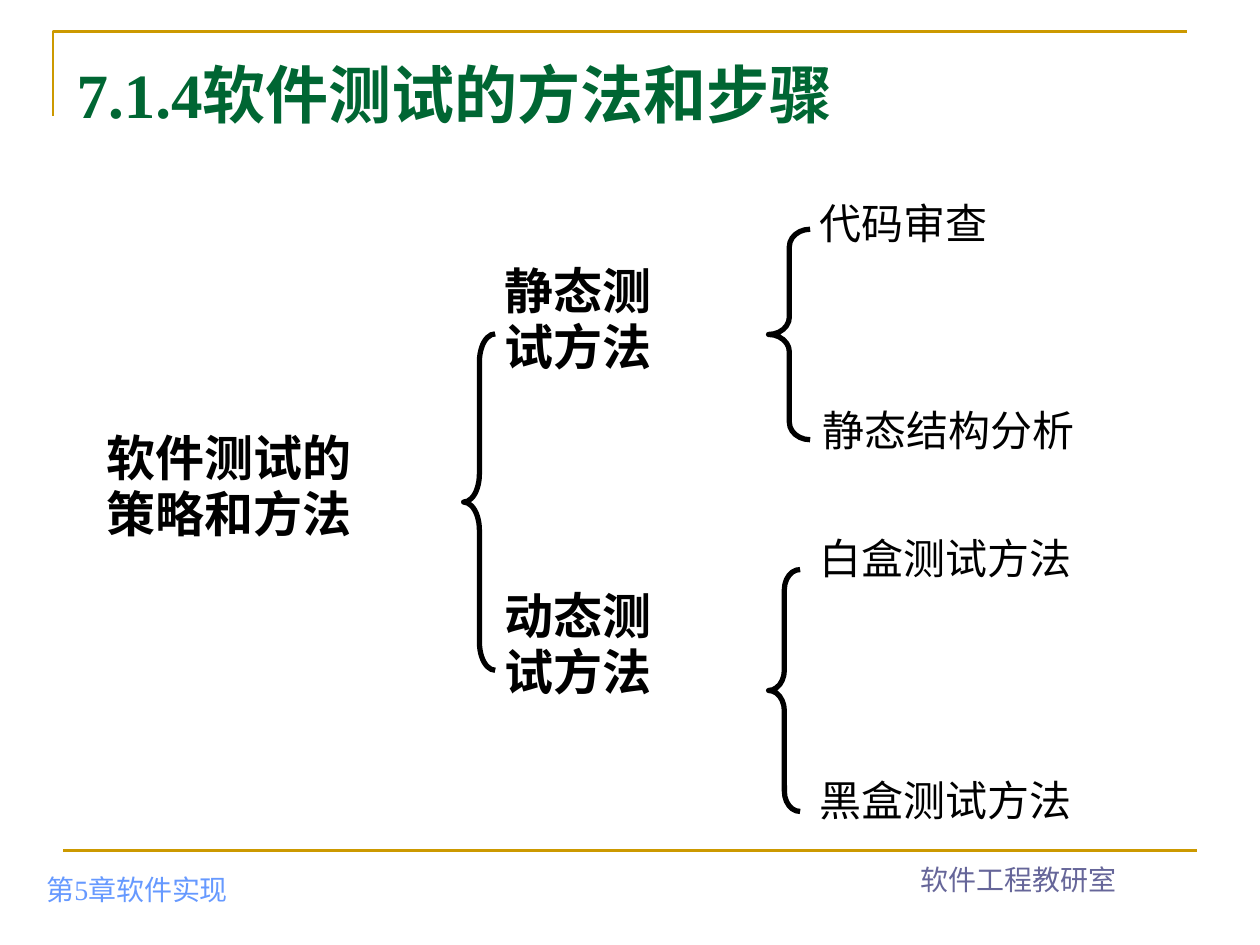
from dataclasses import dataclass

from lxml.etree import SubElement
from pptx import Presentation
from pptx.dml.color import RGBColor
from pptx.enum.shapes import MSO_CONNECTOR, MSO_SHAPE
from pptx.enum.text import MSO_ANCHOR, MSO_AUTO_SIZE, PP_ALIGN
from pptx.oxml.ns import qn
from pptx.util import Inches, Pt


@dataclass(frozen=True)
class Theme:
    gold: str = "CC9900"
    green: str = "006633"
    blue: str = "6699FF"
    slate: str = "666699"
    black: str = "000000"
    title: int = 36
    head: int = 28
    leaf: int = 24
    foot: int = 16
    rule: float = 1.5
    brace: float = 3
    serif: str = "Times New Roman"
    sans: str = "Arial"
    hans: str = "Noto Sans CJK SC"


THEME = Theme()


def add_text(shapes, box, text, *, size, color, font, bold=False, wrap=True,
             space=None, align=PP_ALIGN.LEFT, anchor=MSO_ANCHOR.TOP):
    frame = shapes.add_textbox(*map(Inches, box)).text_frame
    frame.word_wrap = wrap
    frame.auto_size = MSO_AUTO_SIZE.NONE if wrap else MSO_AUTO_SIZE.SHAPE_TO_FIT_TEXT
    frame.vertical_anchor = anchor
    frame.text = text
    for para in frame.paragraphs:
        para.alignment = align
        para.line_spacing = space
        for run in para.runs:
            run.font.size = Pt(size)
            run.font.bold = bold
            run.font.color.rgb = RGBColor.from_string(color)
            run.font.name = font
            east = SubElement(run.font._element, qn("a:ea"))
            east.set("typeface", THEME.hans)


def set_line(shape, color, width):
    shape.line.color.rgb = RGBColor.from_string(color)
    shape.line.width = Pt(width)


def add_brace(shapes, box, curve):
    brace = shapes.add_shape(MSO_SHAPE.LEFT_BRACE, *map(Inches, box))
    brace.shadow.inherit = False
    brace.fill.background()
    set_line(brace, THEME.black, THEME.brace)
    brace.adjustments[0] = curve


def add_header(slide, box, text):
    left, top, width, height = box
    pen = slide.shapes.build_freeform(Inches(left), Inches(top + height))
    pen.add_line_segments(
        [(Inches(left), Inches(top)), (Inches(left + width), Inches(top))], close=False)
    frame = pen.convert_to_shape()
    frame.shadow.inherit = False
    frame.fill.background()
    set_line(frame, THEME.gold, THEME.rule)
    add_text(slide.shapes, (left + 0.09, top + 0.14, 8.98, 0.7), text,
             size=THEME.title, color=THEME.green, font=THEME.serif, bold=True)


def add_footer(slide, box, chapter, office):
    left, top, width = box
    rule = slide.shapes.add_connector(
        MSO_CONNECTOR.STRAIGHT, Inches(left), Inches(top), Inches(left + width), Inches(top))
    SubElement(rule._element.spPr, qn("a:effectLst"))
    set_line(rule, THEME.gold, THEME.rule)
    style = dict(size=THEME.foot, font=THEME.serif, anchor=MSO_ANCHOR.BOTTOM)
    add_text(slide.shapes, (left - 0.23, top - 0.01, 3.15, 0.5), chapter,
             color=THEME.blue, **style)
    add_text(slide.shapes, (left + 6, top - 0.09, 3.17, 0.5), office,
             color=THEME.slate, align=PP_ALIGN.CENTER, **style)


def add_tree(slide, box):
    left, top = box
    shapes = slide.shapes.add_group_shape().shapes
    heads = [
        (0, 1.83, 2.15, "软件测试的\n策略和方法"),
        (3.16, 0.5, 1.37, "静态测\n试方法"),
        (3.16, 3.08, 1.37, "动态测\n试方法"),
    ]
    leaves = [
        (5.66, 0, 1.53, "代码审查", THEME.sans, 0.95),
        (5.68, 1.61, 2.2, "静态结构分析", THEME.sans, None),
        (5.66, 2.66, 2.2, "白盒测试方法", THEME.hans, 0.95),
        (5.66, 4.58, 2.2, "黑盒测试方法", THEME.hans, 0.95),
    ]
    braces = [
        (2.93, 1.1, 0.25, 2.67, 0.89),
        (5.35, 0.27, 0.33, 1.67, 0.42),
        (5.35, 2.97, 0.25, 1.92, 0.64),
    ]
    for x, y, width, text in heads:
        add_text(shapes, (left + x, top + y, width, 0.99), text, size=THEME.head,
                 color=THEME.black, font=THEME.hans, bold=True, wrap=False, space=0.95)
    for x, y, width, text, font, space in leaves:
        add_text(shapes, (left + x, top + y, width, 0.48), text, size=THEME.leaf,
                 color=THEME.black, font=font, wrap=False, space=space)
    for x, y, width, height, curve in braces:
        add_brace(shapes, (left + x, top + y, width, height), curve)


def main():
    deck = Presentation()
    deck.slide_width, deck.slide_height = Inches(10), Inches(7.5)
    slide = deck.slides.add_slide(deck.slide_layouts[6])
    add_header(slide, (0.42, 0.25, 9, 0.67), "7.1.4软件测试的方法和步骤")
    add_tree(slide, (0.75, 1.55))
    add_footer(slide, (0.5, 6.75, 9), "第5章软件实现", "软件工程教研室")
    deck.save("out.pptx")


if __name__ == "__main__":
    main()
